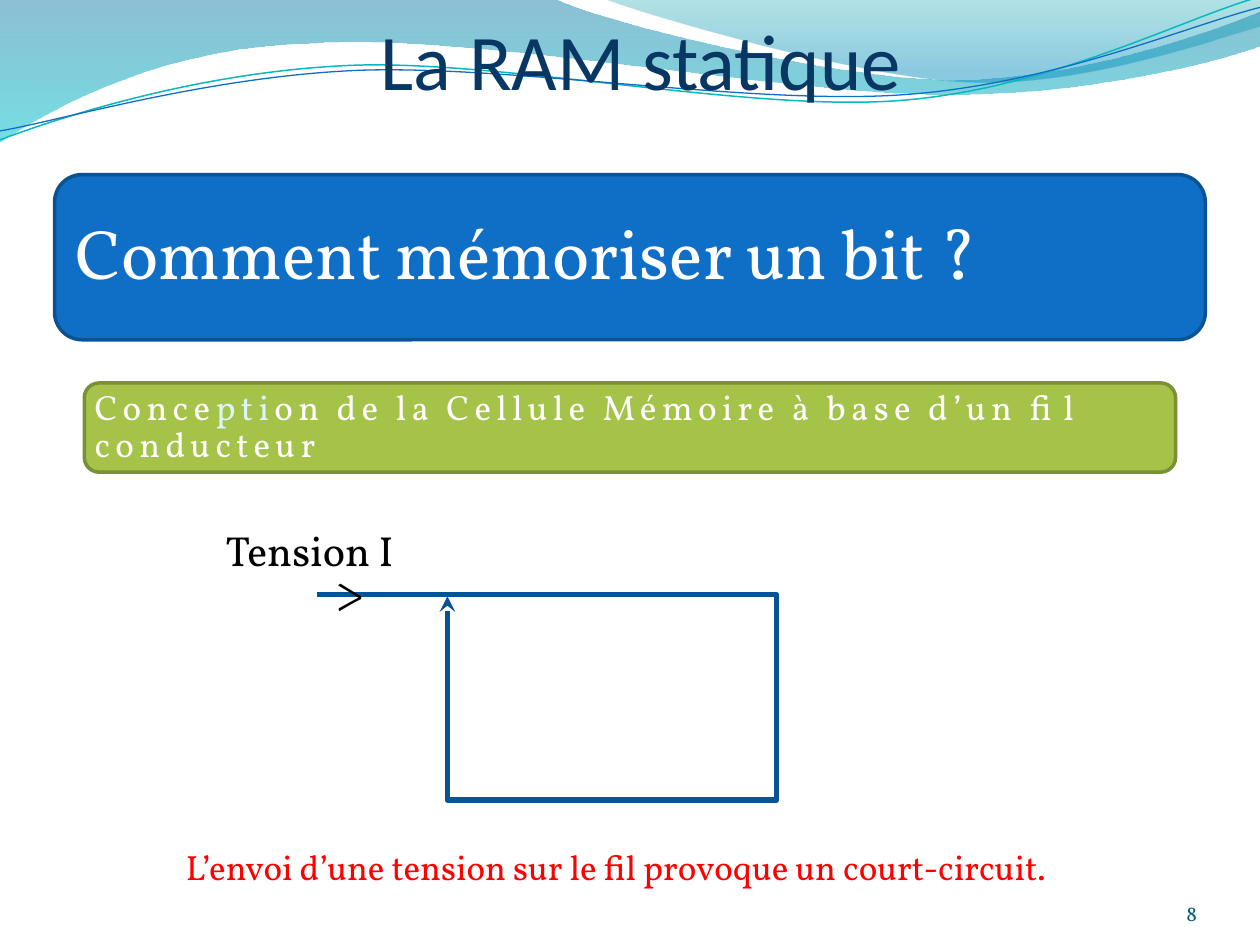
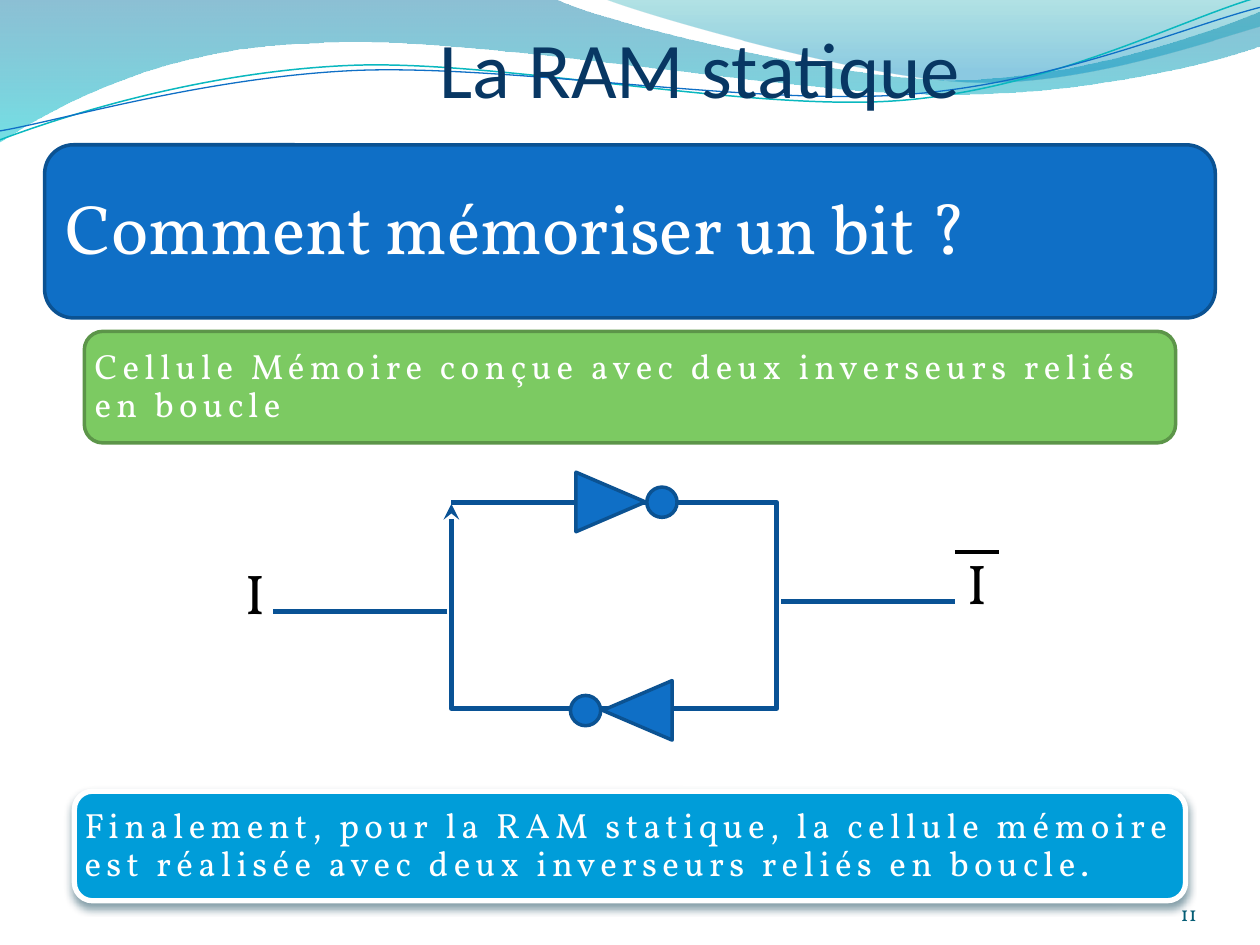
from lxml import etree
from pptx import Presentation
from pptx.dml.color import RGBColor
from pptx.enum import shapes, text
from pptx.oxml import ns
from pptx.util import Cm, Pt

BODY_FONT, TITLE_FONT = "Vollkorn", "Calibri"
WHITE = RGBColor(0xFF, 0xFF, 0xFF)
BLACK = RGBColor(0, 0, 0)
RED = RGBColor(0xFF, 0, 0)
NAVY = RGBColor(0x08, 0x37, 0x63)
TEAL = RGBColor(0x04, 0x5D, 0x75)
PALE = RGBColor(0xDB, 0xF5, 0xF9)
BLUE = RGBColor(0x0F, 0x6F, 0xC6)
BLUE_EDGE = RGBColor(0x0B, 0x52, 0x92)
WIRE = RGBColor(0x09, 0x52, 0x95)
OLIVE = RGBColor(0xA5, 0xC2, 0x49)
OLIVE_EDGE = RGBColor(0x7A, 0x90, 0x36)
GREEN = RGBColor(0x7C, 0xCA, 0x62)
GREEN_EDGE = RGBColor(0x5C, 0x95, 0x49)
SKY = RGBColor(0x00, 0x9D, 0xD9)

# All positions are in centimetres. A wave is a start point followed by
# steps: one point is a straight line, three points are a Bézier curve.
WAVE_BANDS = [
    {"start": (0, 0), "steps": [
        [(11.18, -0.03)],
        [(12.09, 0.43), (16.87, 1.6), (19.25, 1.6)],
        [(21.67, 1.6), (24.33, 0.66), (25.4, 0.23)],
        [(25.43, 0.91)],
        [(24.97, 1.12), (22.1, 1.93), (18.95, 1.9)],
        [(15.8, 1.9), (9.7, 0.71), (6.53, 0.86)],
        [(3.28, 0.91), (1.17, 2.11), (-0.03, 2.87)]],
     "stops": [(0, RGBColor(0x00, 0x74, 0xA1), 45),
               (1, RGBColor(0x00, 0xC6, 0xCF), 55)]},
    {"start": (12.17, -0.03), "steps": [
        [(12.93, 0.28), (17.32, 1.57), (19.53, 1.65)],
        [(21.74, 1.75), (24.41, 0.81), (25.4, 0.53)],
        [(25.4, 0)]],
     "stops": [(0, RGBColor(0x00, 0xA1, 0xA9), 30),
               (0.8, RGBColor(0x00, 0x8B, 0xBF), 45)]},
]
WAVE_LINES = [
    {"start": (0, 2.82), "steps": [
        [(1.22, 2.36), (4.01, 1.45), (7.04, 1.32)],
        [(10.03, 1.19), (15.06, 2.26), (18.11, 2.03)],
        [(21.16, 1.8), (23.83, 0.38), (25.35, -0.05)]],
     "color": RGBColor(0x0A, 0xB8, 0xBF), "width": 0.85},
    {"start": (0, 2.64), "steps": [
        [(1.19, 2.44), (4.17, 1.55), (7.19, 1.42)],
        [(10.24, 1.3), (15.16, 2.13), (18.21, 1.91)],
        [(21.23, 1.7), (23.9, 0.53), (25.4, 0.15)]],
     "color": BLUE, "width": 0.75},
]

TITLE = "La RAM statique"
NUMBER_BOX = (22.02, 17.65, 2.11, 1.02)
QUESTION = {"runs": [("Comment mémoriser un bit ?", WHITE)], "size": 40,
            "inset": 0.43, "spacing": 0, "fill": BLUE, "edge": BLUE_EDGE}
SUBJECT = {"size": 20, "inset": 0.21, "spacing": 3}

SLIDES = [
    {"number": "8", "title_box": (2.97, 0.13, 19.89, 2.01),
     "panels": [
         {**QUESTION, "box": (1.1, 3.52, 23.2, 3.33)},
         {**SUBJECT, "box": (1.7, 7.72, 22, 1.8), "fill": OLIVE, "edge": OLIVE_EDGE,
          "runs": [("Conce", WHITE), ("pti", PALE),
                   ("on de la Cellule Mémoire à base d’un fil conducteur", WHITE)]}],
     "circuit": [(6.4, 11.99), (15.66, 11.99), (15.66, 16.13), (9.02, 16.13), (9.02, 12.02)],
     "labels": [
         ("Tension I", (4.3, 10.44, 3.91, 1.27), 24, BLACK, False),
         (">", (6.5, 11.1, 1.19, 1.63), 32, BLACK, True),
         ("L’envoi d’une tension sur le fil provoque un court-circuit.",
          (3.5, 16.92, 18.62, 1.12), 20, RED, True)],
     "inverters": [], "lines": []},
    {"number": "11", "title_box": (5.36, 0.13, 17.5, 2.18),
     "panels": [
         {**QUESTION, "box": (0.9, 2.92, 23.6, 3.49)},
         {**SUBJECT, "box": (1.7, 6.68, 22, 2.25), "fill": GREEN, "edge": GREEN_EDGE,
          "runs": [("Cellule Mémoire conçue avec deux inverseurs reliés en boucle", WHITE)]},
         {**SUBJECT, "box": (1.5, 15.95, 22.4, 2.21), "fill": SKY, "edge": WHITE,
          "edge_width": 3, "shadow": True,
          "runs": [("Finalement, pour la RAM statique, la cellule mémoire est réalisée "
                    "avec deux inverseurs reliés en boucle.", WHITE)]}],
     "circuit": [(9.1, 10.13), (15.66, 10.13), (15.66, 14.28), (9.1, 14.28), (9.1, 10.16)],
     "labels": [("I", (4.7, 11.13, 0.89, 1.63), 32, BLACK, False),
                ("I", (19.25, 10.93, 0.89, 1.63), 32, BLACK, False)],
     # triangle corner, triangle rotation, dot corner
     "inverters": [((11.71, 9.42), 90, (13.04, 9.82)),
                   ((12.25, 13.62), 270, (11.5, 14.02))],
     "lines": [((9.02, 12.32), (5.51, 12.32), WIRE, 3),
               ((19.25, 12.12), (15.75, 12.12), WIRE, 3),
               ((19.25, 11.13), (20.14, 11.13), BLACK, 2)]},
]
TRIANGLE_SIZE = (1.2, 1.4)
DOT_SIZE = (0.61, 0.61)


def lengths(values):
    return [Cm(value) for value in values]


def add_xml(parent, tag, **attributes):
    values = {name: str(value) for name, value in attributes.items()}
    return etree.SubElement(parent, ns.qn(tag), values)


def set_line(shape, color, width):
    shape.line.color.rgb = color
    shape.line.width = Pt(width)


def add_outline(slide, points, close=False):
    start, *others = [lengths(point) for point in points]
    builder = slide.shapes.build_freeform(*start)
    builder.add_line_segments(others, close=close)
    shape = builder.convert_to_shape()
    shape.shadow.inherit = False
    if not close:
        shape.fill.background()
    return shape


def add_wave(slide, wave, close=False):
    """Draw every point as a corner, then merge each three-point step into a curve."""
    points = [wave["start"]] + [point for step in wave["steps"] for point in step]
    shape = add_outline(slide, points, close)
    segments = iter(list(shape._element.iter(ns.qn("a:lnTo"))))
    for step in wave["steps"]:
        pieces = [next(segments) for _ in step]
        if len(pieces) == 3:
            curve = etree.Element(ns.qn("a:cubicBezTo"))
            pieces[0].addprevious(curve)
            for piece in pieces:
                curve.append(piece[0])
                piece.getparent().remove(piece)
    return shape


def add_waves(slide):
    for band in WAVE_BANDS:
        shape = add_wave(slide, band, close=True)
        shape.line.fill.background()
        shape.fill.gradient()
        shape.fill.gradient_angle = 270
        for stop, (position, color, _) in zip(shape.fill.gradient_stops, band["stops"]):
            stop.position = position
            stop.color.rgb = color
        colors = shape._element.spPr.iter(ns.qn("a:srgbClr"))
        for color, (_, _, opacity) in zip(list(colors), band["stops"]):
            add_xml(color, "a:alpha", val=opacity * 1000)
    for line in WAVE_LINES:
        set_line(add_wave(slide, line), line["color"], line["width"])


def write(shape, runs, size, font=BODY_FONT, align=text.PP_ALIGN.LEFT,
          anchor=text.MSO_ANCHOR.TOP, margins=None, wrap=True, spacing=0):
    frame = shape.text_frame
    frame.word_wrap = wrap
    frame.vertical_anchor = anchor
    if margins:
        (frame.margin_left, frame.margin_top,
         frame.margin_right, frame.margin_bottom) = lengths(margins)
    paragraph = frame.paragraphs[0]
    paragraph.alignment = align
    for words, color in runs:
        run = paragraph.add_run()
        run.text = words
        run.font.name = font
        run.font.size = Pt(size)
        run.font.color.rgb = color
        if spacing:
            run._r.get_or_add_rPr().set("spc", str(spacing * 100))
    return paragraph


def add_text(slide, box, runs, size, **options):
    write(slide.shapes.add_textbox(*lengths(box)), runs, size, **options)


def add_solid(slide, kind, box, fill, edge, edge_width=2):
    shape = slide.shapes.add_shape(kind, *lengths(box))
    shape.shadow.inherit = False
    shape.fill.solid()
    shape.fill.fore_color.rgb = fill
    set_line(shape, edge, edge_width)
    return shape


def add_panel(slide, panel):
    shape = add_solid(slide, shapes.MSO_SHAPE.ROUNDED_RECTANGLE, panel["box"],
                      panel["fill"], panel["edge"], panel.get("edge_width", 2))
    # The rounded corners already push the text in by this share of the height.
    margin = panel["inset"] - 0.05 * panel["box"][3]
    paragraph = write(shape, panel["runs"], panel["size"], margins=[margin] * 4,
                      anchor=text.MSO_ANCHOR.MIDDLE, spacing=panel["spacing"])
    paragraph.line_spacing = 0.9
    if panel.get("shadow"):
        effects = shape._element.spPr.find(ns.qn("a:effectLst"))
        shadow = add_xml(effects, "a:outerShdw", blurRad=Pt(4.5), dist=Pt(3),
                         dir=5400000, rotWithShape=0)
        add_xml(add_xml(shadow, "a:srgbClr", val="00374C"), "a:alpha", val=48000)


def add_circuit(slide, points):
    wire = add_outline(slide, points)
    set_line(wire, WIRE, 3)
    add_xml(wire.line._get_or_add_ln(), "a:tailEnd", type="stealth")


def add_inverter(slide, triangle_corner, rotation, dot_corner):
    triangle = add_solid(slide, shapes.MSO_SHAPE.ISOSCELES_TRIANGLE,
                         triangle_corner + TRIANGLE_SIZE, BLUE, BLUE_EDGE)
    triangle.rotation = rotation
    add_solid(slide, shapes.MSO_SHAPE.FLOWCHART_CONNECTOR,
              dot_corner + DOT_SIZE, BLUE, BLUE_EDGE)


def add_line(slide, start, end, color, width):
    line = slide.shapes.add_connector(shapes.MSO_CONNECTOR.STRAIGHT, *lengths(start + end))
    set_line(line, color, width)
    add_xml(line._element.spPr, "a:effectLst")


def add_slide(presentation, content):
    slide = presentation.slides.add_slide(presentation.slide_layouts[6])
    add_waves(slide)
    add_text(slide, NUMBER_BOX, [(content["number"], TEAL)], 12, margins=[0] * 4,
             align=text.PP_ALIGN.RIGHT, anchor=text.MSO_ANCHOR.BOTTOM)
    add_text(slide, content["title_box"], [(TITLE, NAVY)], 45, font=TITLE_FONT,
             margins=(0, 0.13, 0, 0), align=text.PP_ALIGN.CENTER,
             anchor=text.MSO_ANCHOR.BOTTOM)
    for panel in content["panels"]:
        add_panel(slide, panel)
    add_circuit(slide, content["circuit"])
    for words, box, size, color, wrap in content["labels"]:
        add_text(slide, box, [(words, color)], size, wrap=wrap)
    for inverter in content["inverters"]:
        add_inverter(slide, *inverter)
    for line in content["lines"]:
        add_line(slide, *line)


def main():
    presentation = Presentation()
    presentation.slide_width, presentation.slide_height = Cm(25.4), Cm(19.05)
    for content in SLIDES:
        add_slide(presentation, content)
    presentation.save("out.pptx")


if __name__ == "__main__":
    main()
